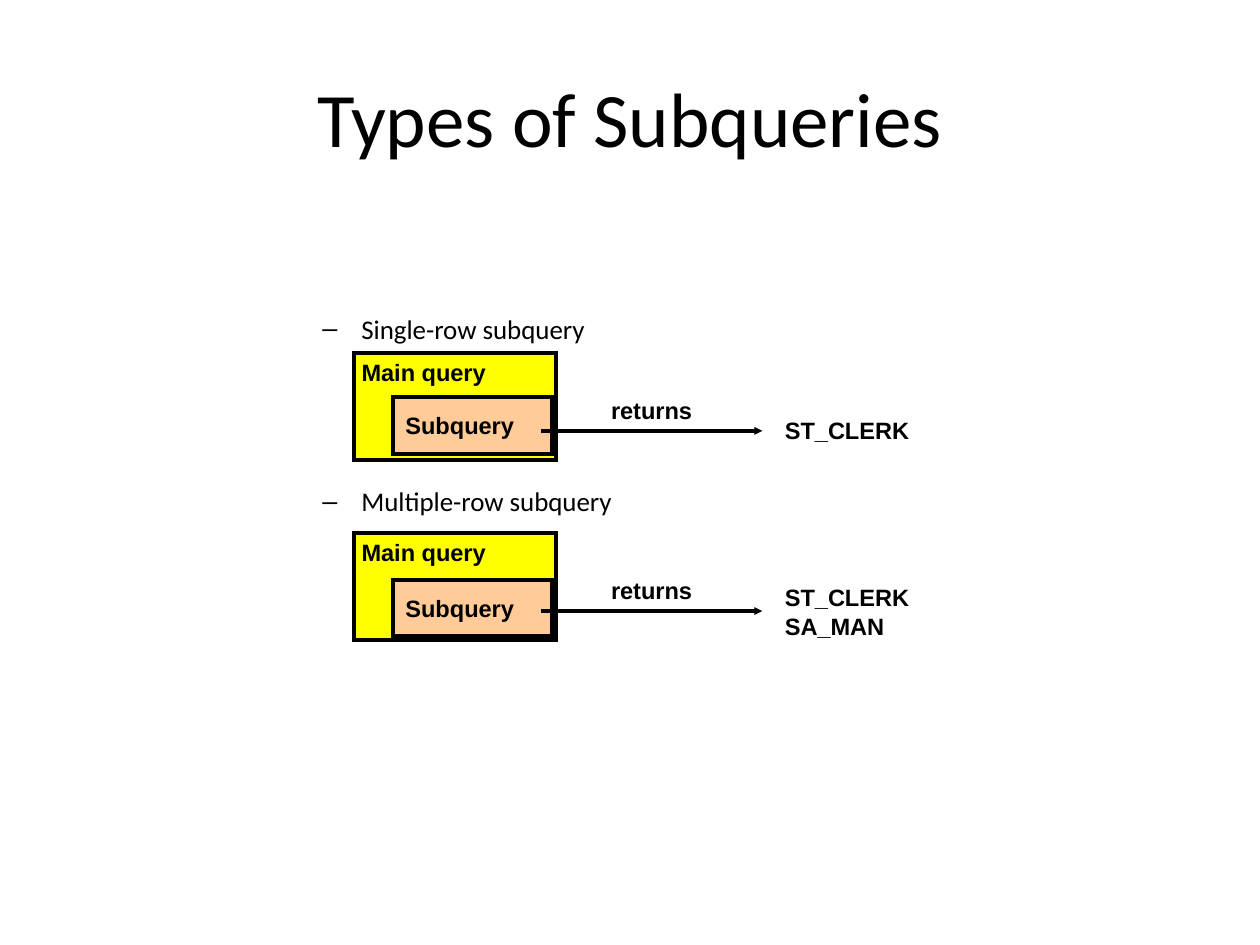
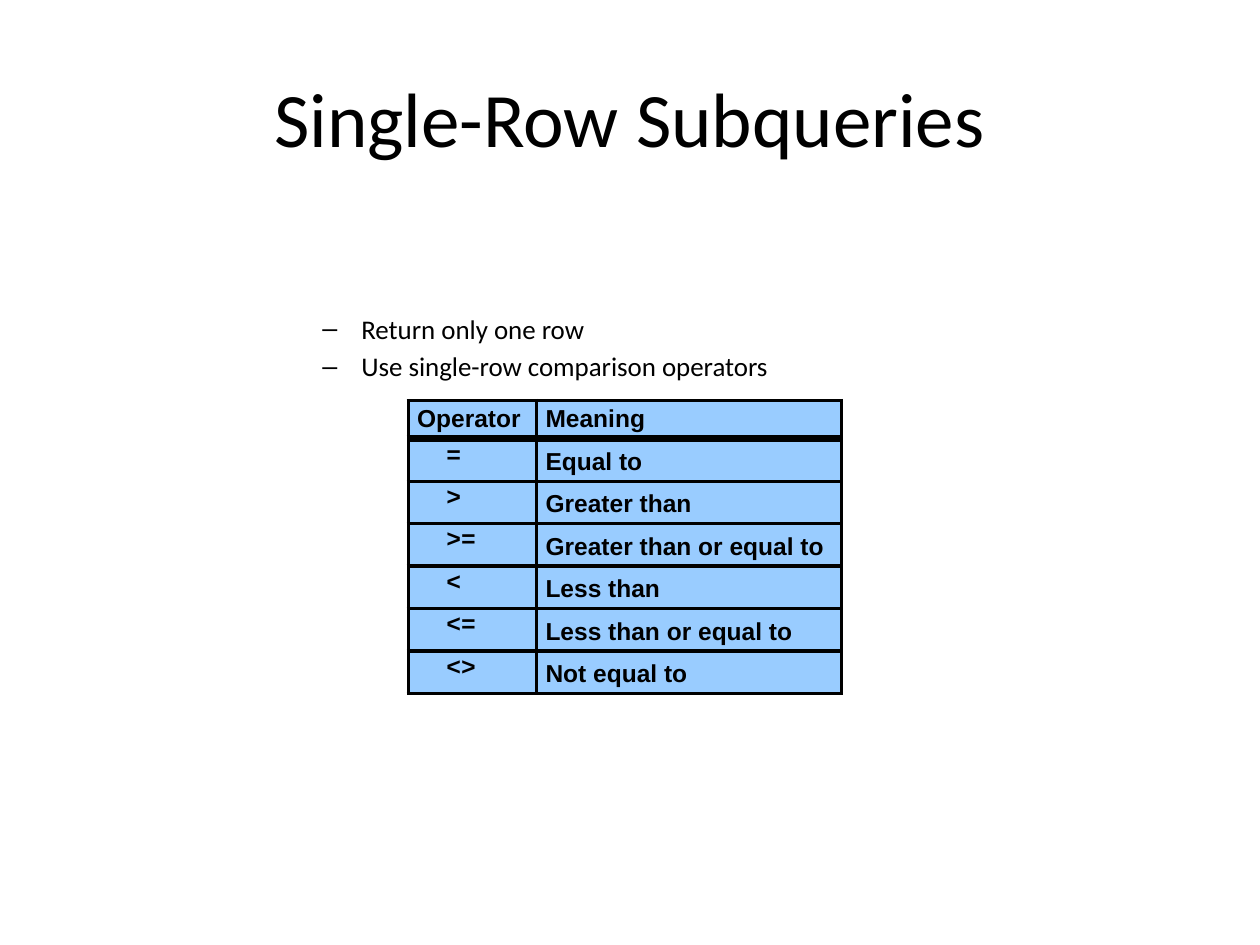
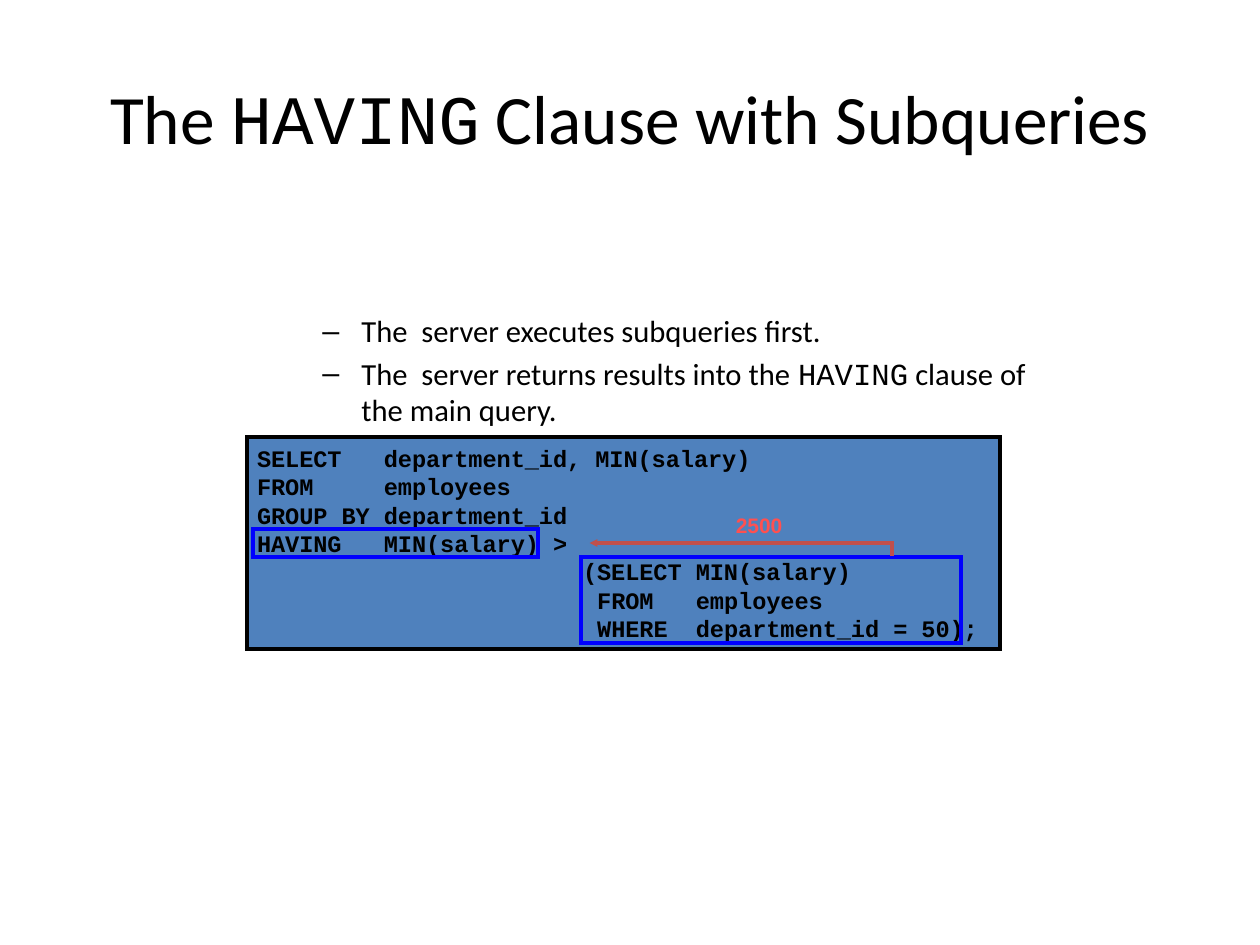
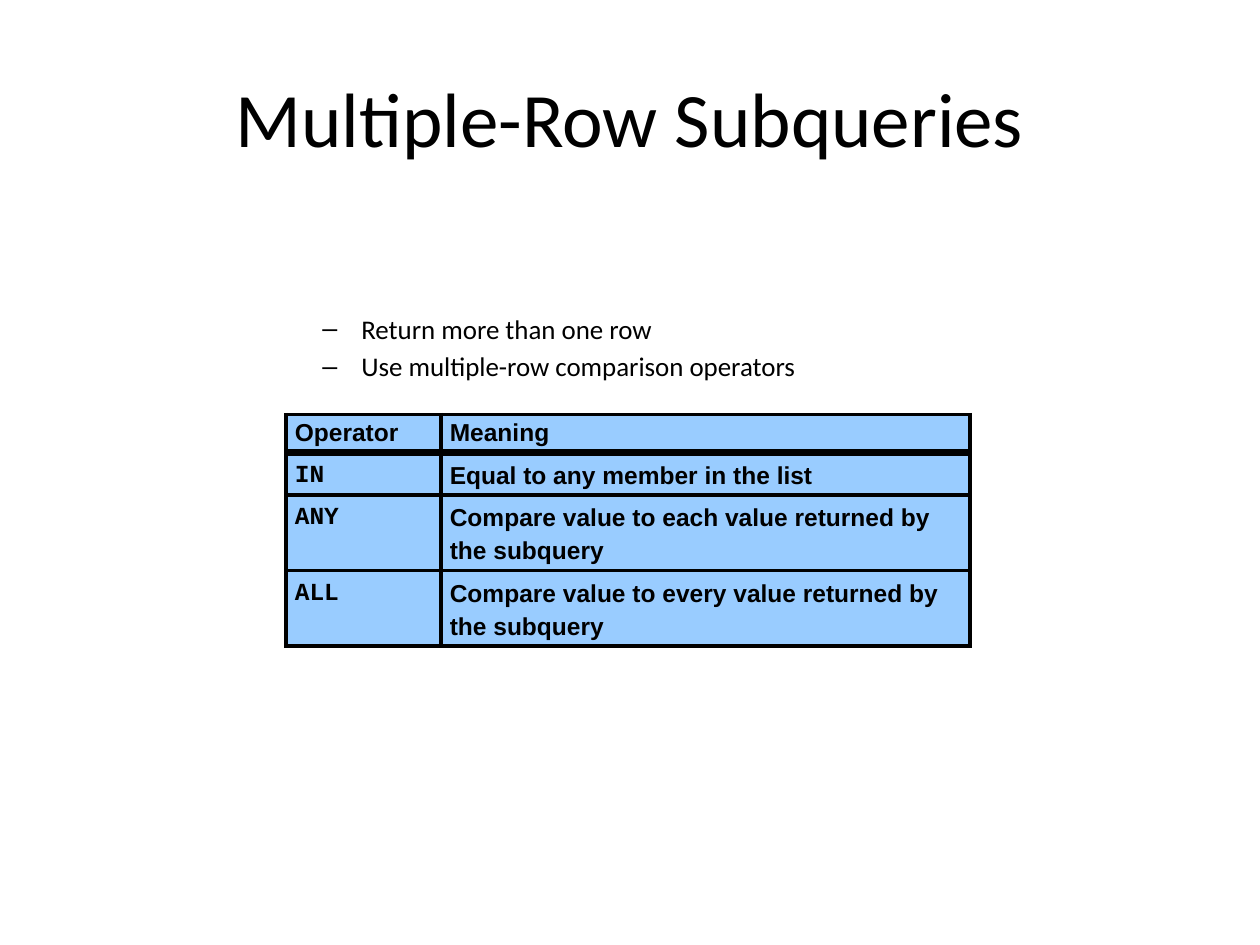
import pptx
import pptx.dml.color
import pptx.enum.shapes
import pptx.enum.text
import pptx.oxml.ns
import pptx.util
from lxml import etree

RGBColor = pptx.dml.color.RGBColor
Pt = pptx.util.Pt
ANCHOR = pptx.enum.text.MSO_ANCHOR
ALIGN = pptx.enum.text.PP_ALIGN
RECTANGLE = pptx.enum.shapes.MSO_SHAPE.RECTANGLE
qn = pptx.oxml.ns.qn

BLACK = RGBColor(0x00, 0x00, 0x00)
YELLOW = RGBColor(0xFF, 0xFF, 0x00)
PEACH = RGBColor(0xFF, 0xCC, 0x99)
SKY = RGBColor(0x99, 0xCC, 0xFF)
STEEL = RGBColor(0x4F, 0x81, 0xBD)
BLUE = RGBColor(0x00, 0x00, 0xFF)
CORAL = RGBColor(0xFF, 0x50, 0x50)
BRICK = RGBColor(0xC0, 0x50, 0x4D)

HEADING, LABEL, MONO = "Calibri", "Arial", "Courier New"
LABEL_SIZE, TABLE_SIZE = 13.5, 14
LINE, HEADER_LINE = 2.25, 4.5
CHARACTER = 0.6  # width of a monospaced character, as a share of its size

COLUMNS, ROWS = 100, 75
SLIDE_WIDTH, SLIDE_HEIGHT = pptx.util.Inches(10), pptx.util.Inches(7.5)
CELL = SLIDE_WIDTH // COLUMNS  # the grid is square


def grid(*lengths):
    """Turn lengths in grid cells into EMU."""
    return [round(length * CELL) for length in lengths]


def format_run(run, size, font, bold=False, color=BLACK):
    """Set the font of one run."""
    run.font.size = Pt(size)
    run.font.name = font
    run.font.bold = bold
    run.font.color.rgb = color


def set_margins(holder, horizontal, top, bottom):
    """Set the insets of a text frame or a table cell, in grid cells."""
    holder.margin_left = holder.margin_right = grid(horizontal)[0]
    holder.margin_top, holder.margin_bottom = grid(top, bottom)


def add_runs(paragraph, pieces, size):
    """Write text, or (text, font) pieces, in the heading font by default."""
    if isinstance(pieces, str):
        pieces = [(pieces, HEADING)]
    for text, font in pieces:
        run = paragraph.add_run()
        run.text = text
        format_run(run, size, font)


def set_indent(paragraph, left, hanging=0):
    """Indent a paragraph by lengths in EMU."""
    properties = paragraph._p.get_or_add_pPr()
    properties.set("marL", str(round(left)))
    properties.set("indent", str(-round(hanging)))
    return properties


def add_title(slide, pieces, size=44):
    """Add the centred slide title."""
    frame = slide.shapes.add_textbox(*grid(5, 3, 90, 12.5)).text_frame
    frame.word_wrap = True
    frame.vertical_anchor = ANCHOR.MIDDLE
    paragraph = frame.paragraphs[0]
    paragraph.alignment = ALIGN.CENTER
    add_runs(paragraph, pieces, size)


def add_bullets(slide, items, size=15.4, height=6.2, width=64.9, gap=None):
    """Add dashed list items, with a gap in points between them."""
    frame = slide.shapes.add_textbox(*grid(19.6, 24.3, width, height)).text_frame
    frame.word_wrap = True
    for index, pieces in enumerate(items):
        paragraph = frame.add_paragraph() if index else frame.paragraphs[0]
        if index:
            paragraph.space_before = Pt(gap or 0.18 * size)
        add_runs(paragraph, pieces, size)
        properties = set_indent(paragraph, *grid(8.1, 3.1))
        bullet_font = etree.SubElement(properties, qn("a:buFont"))
        bullet_font.set("typeface", LABEL)
        etree.SubElement(properties, qn("a:buChar")).set("char", "–")


def style_line(shape, color):
    """Give a shape a line with sharp corners and return its element."""
    shape.line.color.rgb = color
    shape.line.width = Pt(LINE)
    line = shape.line._get_or_add_ln()
    etree.SubElement(line, qn("a:miter")).set("lim", "800000")
    return line


def add_box(slide, place, fill=None, line=BLACK):
    """Add an outlined rectangle at a place on the grid."""
    shape = slide.shapes.add_shape(RECTANGLE, *grid(*place))
    shape.shadow.inherit = False
    if fill is None:
        shape.fill.background()
    else:
        shape.fill.solid()
        shape.fill.fore_color.rgb = fill
    style_line(shape, line)
    return shape


def write_label(frame, text, size=LABEL_SIZE, color=BLACK):
    """Write bold, unwrapped, left-aligned text into a frame."""
    frame.text = text
    frame.word_wrap = False
    for paragraph in frame.paragraphs:
        paragraph.alignment = ALIGN.LEFT
        format_run(paragraph.runs[0], size, LABEL, True, color)


def add_label(slide, place, text, **style):
    """Add a free label that grows with its text."""
    frame = slide.shapes.add_textbox(*grid(*place)).text_frame
    set_margins(frame, 0.8, 0.4, 0.4)
    write_label(frame, text, **style)
    frame.auto_size = pptx.enum.text.MSO_AUTO_SIZE.SHAPE_TO_FIT_TEXT
    return frame


def style_arrow(shape, color):
    """Color a line and put a small arrowhead at its end."""
    head = etree.SubElement(style_line(shape, color), qn("a:tailEnd"))
    for name, value in (("type", "triangle"), ("w", "sm"), ("len", "sm")):
        head.set(name, value)


def add_arrow(slide, start, end):
    """Add a straight black arrow between two grid points."""
    arrow = slide.shapes.add_connector(
        pptx.enum.shapes.MSO_CONNECTOR.STRAIGHT, *grid(*start, *end))
    style_arrow(arrow, BLACK)
    etree.SubElement(arrow._element.spPr, qn("a:effectLst"))


def add_bent_arrow(slide, points, color):
    """Add an open outline through grid points, with an arrowhead."""
    start, *others = [grid(*point) for point in points]
    builder = slide.shapes.build_freeform(*start)
    builder.add_line_segments(others, close=False)
    arrow = builder.convert_to_shape()
    arrow.shadow.inherit = False
    arrow.fill.background()
    style_arrow(arrow, color)


def add_query_diagram(slide, top, subquery_top, result, result_top, result_height):
    """Add a main query whose subquery returns a result."""
    add_box(slide, (28.1, top, 16, 8.5), YELLOW)
    add_label(slide, (27.9, top, 11.5, 3), "Main query")
    subquery = add_box(slide, (31.2, subquery_top, 12.6, 4.5), PEACH)
    subquery.text_frame.vertical_anchor = ANCHOR.MIDDLE
    write_label(subquery.text_frame, "Subquery")
    add_arrow(slide, (42.9, top + 6.2), (60.5, top + 6.2))
    add_label(slide, (47.7, top + 3, 8.6, 3), "returns")
    add_label(slide, (61.5, result_top, 12, result_height), result)


def set_borders(cell, top, bottom):
    """Draw black borders around a cell, widths in points."""
    properties = cell._tc.get_or_add_tcPr()
    sides = (("a:lnL", LINE), ("a:lnR", LINE), ("a:lnT", top), ("a:lnB", bottom))
    for index, (tag, width) in enumerate(sides):
        line = etree.Element(qn(tag), w=str(int(Pt(width))))
        fill = etree.SubElement(line, qn("a:solidFill"))
        etree.SubElement(fill, qn("a:srgbClr")).set("val", str(BLACK))
        properties.insert(index, line)


def add_operator_table(slide, place, widths, heights, operators,
                       operator_spacing=1.2, operator_indent=0):
    """Add a table of operators; the indent counts monospaced characters."""
    rows = [("Operator", "Meaning"), *operators]
    frame = slide.shapes.add_table(
        len(rows), len(widths), *grid(*place, sum(widths), sum(heights)))
    table = frame.table
    table.first_row = table.horz_banding = False
    for column, width in zip(table.columns, grid(*widths)):
        column.width = width
    for row, height in zip(table.rows, grid(*heights)):
        row.height = height
    for row_index, texts in enumerate(rows):
        for column_index, text in enumerate(texts):
            cell = table.cell(row_index, column_index)
            is_operator = row_index > 0 and column_index == 0
            cell.text = text
            set_margins(cell, 0.7, *((0.3, 0.1) if row_index else (0.4, 0.3)))
            cell.fill.solid()
            cell.fill.fore_color.rgb = SKY
            set_borders(cell, HEADER_LINE if row_index == 1 else LINE,
                        HEADER_LINE if row_index == 0 else LINE)
            paragraph = cell.text_frame.paragraphs[0]
            format_run(paragraph.runs[0], TABLE_SIZE,
                       MONO if is_operator else LABEL, True)
            if row_index:
                paragraph.line_spacing = operator_spacing if is_operator else 1.2
            if is_operator:
                set_indent(paragraph, operator_indent * CHARACTER * Pt(TABLE_SIZE))


def add_code(slide, place, lines):
    """Add a code panel from (indent in characters, text) lines."""
    frame = add_box(slide, place, STEEL).text_frame
    frame.text = "\n".join(text for _, text in lines)
    frame.word_wrap = True
    frame.vertical_anchor = ANCHOR.MIDDLE
    set_margins(frame, 0.8, 0.4, 0.4)
    for paragraph, (indent, _) in zip(frame.paragraphs, lines):
        paragraph.alignment = ALIGN.LEFT
        set_indent(paragraph, indent * CHARACTER * Pt(LABEL_SIZE))
        format_run(paragraph.runs[0], LABEL_SIZE, MONO, True)


def build_types(slide):
    """Show the two types of subqueries."""
    add_title(slide, "Types of Subqueries")
    add_bullets(slide, ["Single-row subquery", "Multiple-row subquery"],
                height=16.8, width=60.4, gap=80)
    add_query_diagram(slide, 28, 31.5, "ST_CLERK", 32.6, 3)
    add_query_diagram(slide, 42.3, 46, "ST_CLERK\nSA_MAN", 45.9, 5.3)


def build_single_row(slide):
    """List the single-row comparison operators."""
    add_title(slide, "Single-Row Subqueries")
    add_bullets(slide, ["Return only one row",
                        "Use single-row comparison operators"])
    operators = [
        ("=", "Equal to"),
        (">", "Greater than"),
        (">=", "Greater than or equal to"),
        ("<", "Less than"),
        ("<=", "Less than or equal to"),
        ("<>", "Not equal to"),
    ]
    add_operator_table(slide, (32.4, 31.8), (10.2, 24.2),
                       [3] + [3.37] * len(operators), operators,
                       operator_spacing=0.95, operator_indent=2)


def build_having(slide):
    """Show a subquery inside a HAVING clause."""
    add_code(slide, (19.6, 34.7, 59.8, 16.8), [
        (0, "SELECT   department_id, MIN(salary)"),
        (0, "FROM     employees"),
        (0, "GROUP BY department_id"),
        (0, "HAVING   MIN(salary) >"),
        (23, "(SELECT MIN(salary)"),
        (24, "FROM   employees"),
        (24, "WHERE  department_id = 50);"),
    ])
    add_title(slide, [("The ", HEADING), ("HAVING", MONO),
                      (" Clause with Subqueries", HEADING)], size=39.6)
    add_bullets(slide, [
        "The  server executes subqueries first.",
        [("The  server returns results into the ", HEADING), ("HAVING", MONO),
         (" clause of the main query.", HEADING)],
    ], size=17.5, height=9)
    add_box(slide, (46.1, 44.2, 30.2, 6.8), line=BLUE)
    add_box(slide, (20.1, 42, 22.6, 2.2), line=BLUE)
    value = add_label(slide, (57.6, 39.9, 6, 3), "2500", size=12, color=CORAL)
    value.paragraphs[0].line_spacing = 1.2
    add_bent_arrow(slide, [(70.8, 44.1), (70.8, 43.1), (46.8, 43.1)], BRICK)


def build_multiple_row(slide):
    """List the multiple-row comparison operators."""
    add_title(slide, "Multiple-Row Subqueries")
    add_bullets(slide, ["Return more than one row",
                        "Use multiple-row comparison operators"])
    add_operator_table(slide, (22.7, 32.9), (12.3, 42), (3, 3.35, 6, 6), [
        ("IN", "Equal to any member in the list"),
        ("ANY", "Compare value to each value returned by the subquery"),
        ("ALL", "Compare value to every value returned by the subquery"),
    ])


def main():
    """Build and save the presentation."""
    presentation = pptx.Presentation()
    presentation.slide_width = SLIDE_WIDTH
    presentation.slide_height = SLIDE_HEIGHT
    blank = presentation.slide_layouts[6]
    for build in (build_types, build_single_row, build_having, build_multiple_row):
        build(presentation.slides.add_slide(blank))
    presentation.save("out.pptx")


main()
